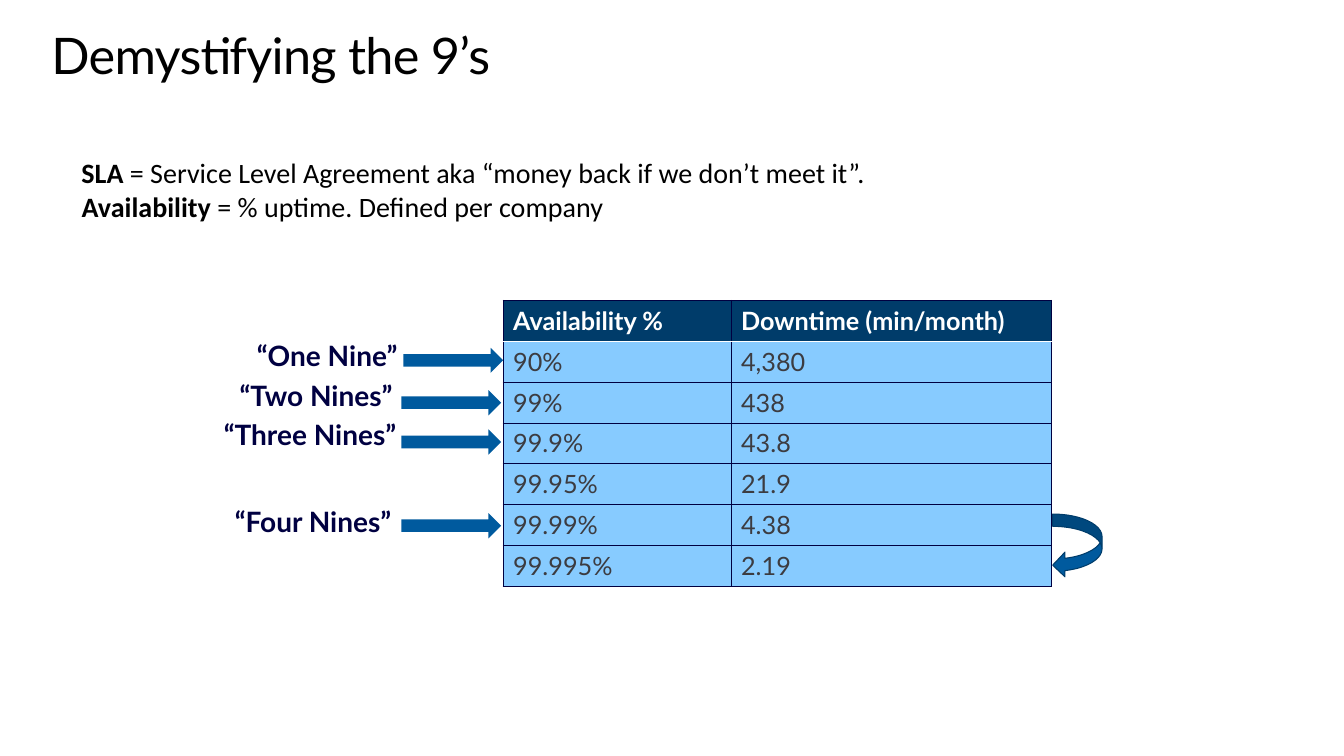
from lxml import etree
from pptx import Presentation
from pptx import util as u
from pptx.dml.color import RGBColor
from pptx.enum import shapes, text
from pptx.oxml import ns
from pptx.util import Inches

COLORS = {
    "black": "000000", "white": "FFFFFF", "navy": "000041", "header": "003C6A",
    "arrow": "005A9E", "cell": "87CBFF", "grey": "3C3C41",
}

# Font formats by role
TITLE = {"name": "Lato", "size": u.Pt(36), "bold": False}
TERM = {"name": "Calibri", "size": u.Pt(20), "bold": True}
MEANING = {**TERM, "bold": False}
LABEL = {"name": "Lato", "size": u.Pt(20), "bold": True}
HEADER = {"name": "Lato", "size": u.Pt(18), "bold": True}
VALUE = {**HEADER, "bold": False}

DEFINITIONS = [
    ("SLA", " = Service Level Agreement aka “money back if we don’t meet it”.",
     (0.71, 1.49, 8.28, 0.44), (0.1, 0.05)),
    ("Availability", " = % uptime. Defined per company",
     (0.61, 1.72, 7.76, 0.66), (0.2, 0.16)),
]
DOWNTIME = [
    ("Availability %", "Downtime (min/month)"),
    ("90%", "4,380"),
    ("99%", "438"),
    ("99.9%", "43.8"),
    ("99.95%", "21.9"),
    ("99.99%", "4.38"),
    ("99.995%", "2.19"),
]
# Label, its left and top, then the left and top of its arrow
NINES = [
    ("“One Nine”", (1.02, 3.31), (4, 3.45)),
    ("“Two Nines”", (0.91, 3.71), (3.98, 3.87)),
    ("“Three Nines”", (0.85, 4.09), (3.98, 4.26)),
    ("“Four Nines”", (0.88, 4.96), (3.98, 5.09)),
]


def rgb(color):
    return RGBColor.from_string(COLORS[color])


def place(box):
    return [Inches(length) for length in box]


def add_run(paragraph, words, font_format, color):
    run = paragraph.add_run()
    run.text = words
    for attribute, value in font_format.items():
        setattr(run.font, attribute, value)
    run.font.color.rgb = rgb(color)
    return run


def set_frame(frame, across, down):
    frame_format = {
        "word_wrap": True, "vertical_anchor": text.MSO_ANCHOR.TOP,
        "margin_left": Inches(across), "margin_right": Inches(across),
        "margin_top": Inches(down), "margin_bottom": Inches(down),
    }
    for attribute, value in frame_format.items():
        setattr(frame, attribute, value)


def add_title(slide, words):
    title = slide.shapes.title
    title.left, title.top, title.width, title.height = place((0.51, 0.24, 9.63, 0.61))
    set_frame(title.text_frame, 0, 0)
    title.text_frame.auto_size = text.MSO_AUTO_SIZE.NONE
    paragraph = title.text_frame.paragraphs[0]
    paragraph.alignment = text.PP_ALIGN.LEFT
    paragraph.line_spacing = 1.0
    run = add_run(paragraph, words, TITLE, "black")
    run.font._element.set("spc", "-50")  # tighter letters


def add_text(slide, box, runs, margins=(0.1, 0.05), align=text.PP_ALIGN.LEFT):
    frame = slide.shapes.add_textbox(*place(box)).text_frame
    set_frame(frame, *margins)
    frame.auto_size = text.MSO_AUTO_SIZE.SHAPE_TO_FIT_TEXT
    paragraph = frame.paragraphs[0]
    paragraph.alignment = align
    for run in runs:
        add_run(paragraph, *run)


def add_arrow(slide, preset, box, outline=None):
    arrow = slide.shapes.add_shape(preset, *place(box))
    arrow.shadow.inherit = False
    arrow.fill.solid()
    arrow.fill.fore_color.rgb = rgb("arrow")
    if outline:
        arrow.line.color.rgb = rgb(outline)
        arrow.line.width = u.Pt(0.75)
    else:
        arrow.line.fill.background()


def set_border(cell, side, color, points):
    line = etree.SubElement(cell._tc.get_or_add_tcPr(), ns.qn(f"a:ln{side}"),
                            w=str(u.Pt(points)))
    fill = etree.SubElement(line, ns.qn("a:solidFill"))
    etree.SubElement(fill, ns.qn("a:srgbClr"), val=COLORS[color])


def add_downtime_table(slide):
    frame = slide.shapes.add_table(len(DOWNTIME), 2, *place((4.99, 2.98, 5.44, 2.84)))
    table = frame.table
    for column, width in zip(table.columns, (2.26, 3.18)):
        column.width = Inches(width)
    for row_index, values in enumerate(DOWNTIME):
        is_header = row_index == 0
        table.rows[row_index].height = Inches(2.84 / len(DOWNTIME))
        for column_index, value in enumerate(values):
            cell = table.cell(row_index, column_index)
            add_run(cell.text_frame.paragraphs[0], value,
                    HEADER if is_header else VALUE,
                    "white" if is_header else "grey")
            # A white rule divides the header from the values
            white_side = {0: "B", 1: "T"}.get(row_index)
            for side in "LRTB":
                rule = ("white", 0.85) if side == white_side else ("navy", 0.75)
                set_border(cell, side, *rule)
            cell.fill.solid()
            cell.fill.fore_color.rgb = rgb("header" if is_header else "cell")


def main():
    deck = Presentation()
    deck.slide_width, deck.slide_height = Inches(13.33), Inches(7.5)
    slide = deck.slides.add_slide(deck.slide_layouts[5])

    # Title and definitions
    add_title(slide, "Demystifying the 9’s")
    for term, meaning, box, margins in DEFINITIONS:
        runs = [(term, TERM, "black"), (meaning, MEANING, "black")]
        add_text(slide, box, runs, margins)

    # Downtime by availability
    add_downtime_table(slide)

    # Names of the levels, each pointing at its row
    for label, label_at, arrow_at in NINES:
        add_text(slide, (*label_at, 4.45, 0.44), [(label, LABEL, "navy")],
                 align=text.PP_ALIGN.CENTER)
        add_arrow(slide, shapes.MSO_SHAPE.RIGHT_ARROW, (*arrow_at, 0.99, 0.25))

    # Step from four nines to the last row
    add_arrow(slide, shapes.MSO_SHAPE.CURVED_LEFT_ARROW,
              (10.44, 5.1, 0.49, 0.63), "header")

    deck.save("out.pptx")


if __name__ == "__main__":
    main()
